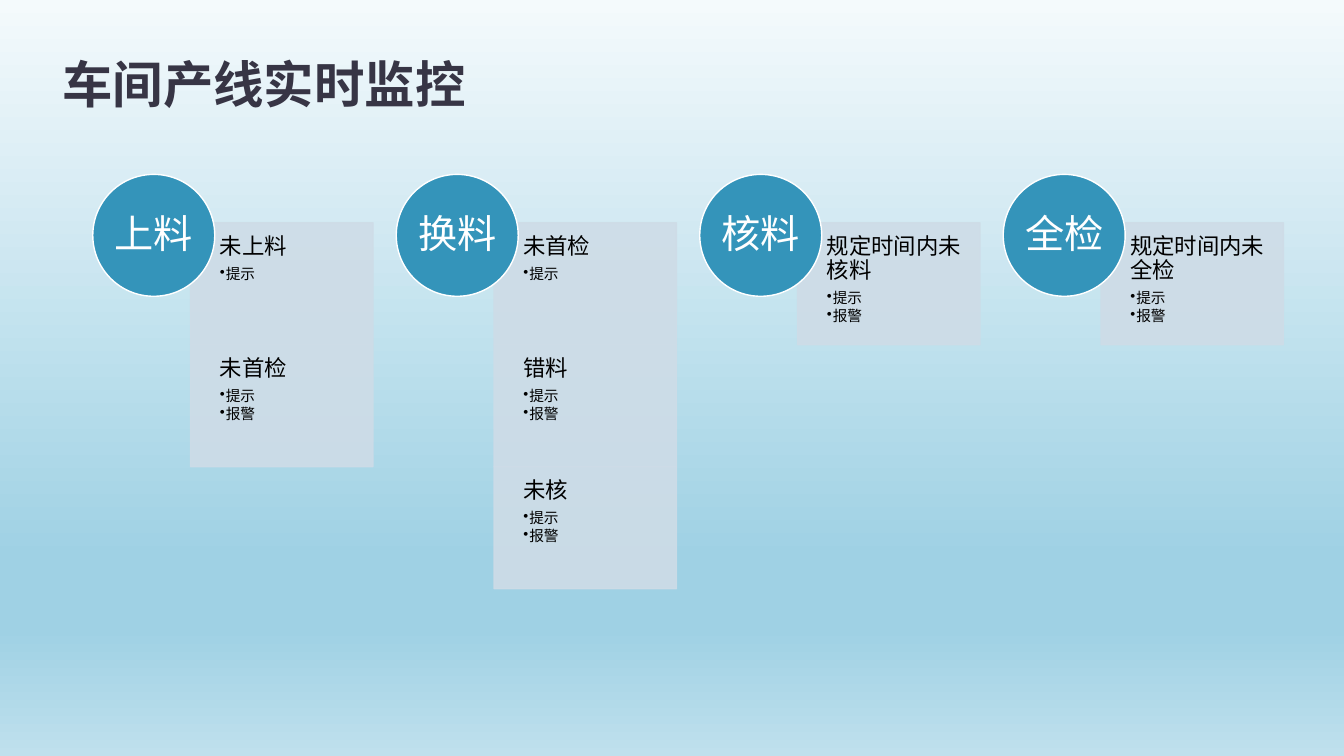
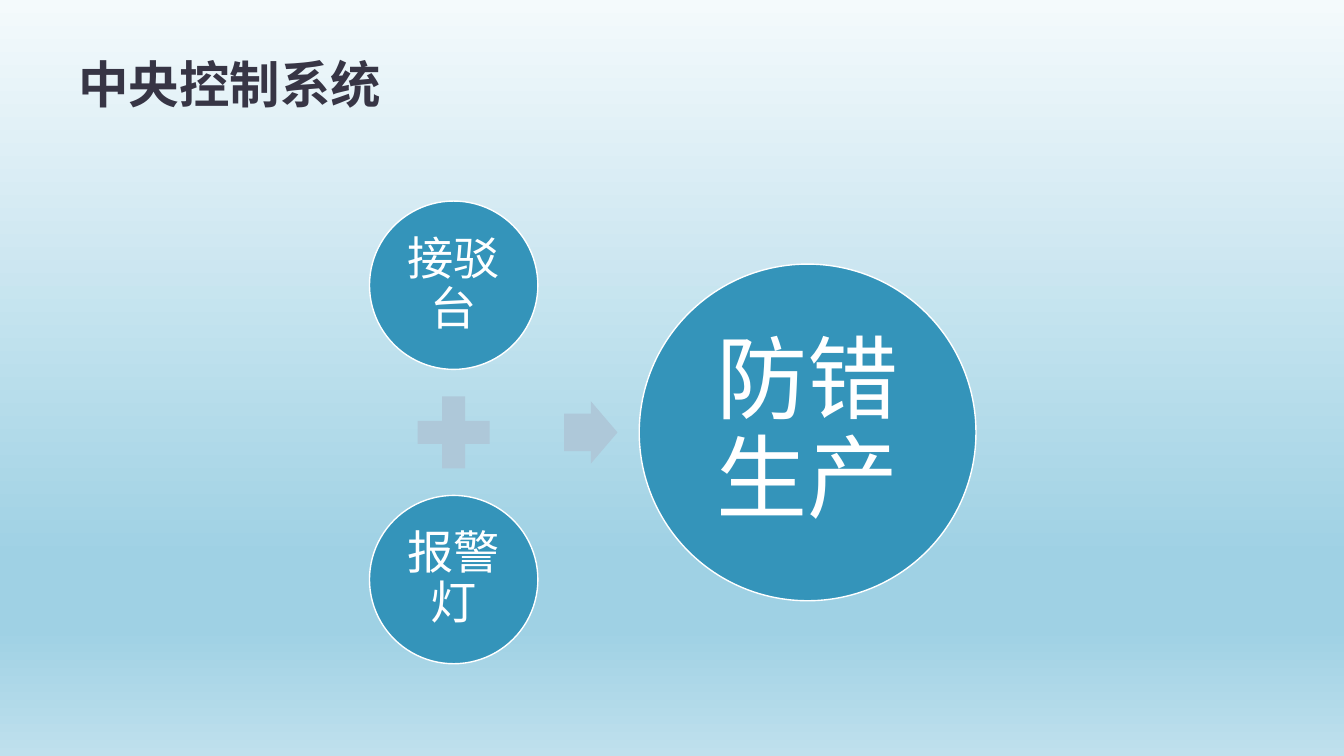
from dataclasses import dataclass
from typing import Any

from lxml import etree
from pptx import Presentation
from pptx.dml.color import RGBColor
from pptx.enum.shapes import MSO_SHAPE
from pptx.enum.text import MSO_ANCHOR, PP_ALIGN
from pptx.oxml.ns import qn
from pptx.util import Inches, Pt

OVAL = MSO_SHAPE.OVAL
RECTANGLE = MSO_SHAPE.RECTANGLE
PLUS = MSO_SHAPE.MATH_PLUS
ARROW = MSO_SHAPE.RIGHT_ARROW
TOP, MIDDLE, BOTTOM = MSO_ANCHOR.TOP, MSO_ANCHOR.MIDDLE, MSO_ANCHOR.BOTTOM
LEFT, CENTER = PP_ALIGN.LEFT, PP_ALIGN.CENTER


@dataclass(frozen=True)
class Theme:
    width: float = 13.33
    height: float = 7.5
    cjk_font: str = "Noto Sans CJK SC"
    latin_font: str = "Calibri"
    title: str = "373545"
    accent: str = "3494BA"
    panel: str = "CEDCE7"
    symbol: str = "AEC8D9"
    white: str = "FFFFFF"
    ink: str = "000000"
    panel_opacity: int = 90
    title_size: float = 36
    stage_size: float = 28
    check_size: float = 16
    action_size: float = 10.5
    input_size: float = 33
    result_size: float = 65
    line_spacing: float = 0.9
    sky: tuple[tuple[int, str], ...] = (
        (0, "F4FAFC"), (74, "9FD1E4"), (83, "9FD1E4"), (100, "BFE0ED"))


@dataclass(frozen=True)
class Box:
    left: float
    top: float
    width: float
    height: float

    def emu(self) -> list[int]:
        return [Inches(v) for v in (self.left, self.top, self.width, self.height)]


def centred(x: float, y: float, width: float, height: float) -> Box:
    return Box(x - width / 2, y - height / 2, width, height)


@dataclass(frozen=True)
class Check:
    heading: str
    actions: tuple[str, ...]


@dataclass(frozen=True)
class Stage:
    name: str
    checks: tuple[Check, ...]


@dataclass(frozen=True)
class Disc:
    label: str
    x: float
    y: float
    diameter: float
    size: float
    inset: float


THEME = Theme()
REMIND = ("提示",)
ALERT = ("提示", "报警")
STAGES = (
    Stage("上料", (Check("未上料", REMIND), Check("未首检", ALERT))),
    Stage("换料", (Check("未首检", REMIND), Check("错料", ALERT), Check("未核", ALERT))),
    Stage("核料", (Check("规定时间内未核料", ALERT),)),
    Stage("全检", (Check("规定时间内未全检", ALERT),)),
)

GRID_LEFT, GRID_TOP = 0.92, 1.73
COLUMN, ROW = 3.01, 1.21
PANEL_SHIFT_X, PANEL_SHIFT_Y, PANEL_WIDTH = 0.97, 0.48, 1.81

AXIS_Y, INPUT_X, INPUT_STEP = 4.29, 4.5, 1.46
DISCS = (
    Disc("接驳台", INPUT_X, AXIS_Y - INPUT_STEP, 1.67, THEME.input_size, 0.05),
    Disc("报警灯", INPUT_X, AXIS_Y + INPUT_STEP, 1.67, THEME.input_size, 0.05),
    Disc("防错生产", 8.01, AXIS_Y, 3.34, THEME.result_size, 0.09),
)


def assign(target: Any, values: dict[str, Any]) -> None:
    for key, value in values.items():
        setattr(target, key, value)


def set_frame(frame: Any, anchor: Any, insets: tuple[float, float, float, float]) -> None:
    sides = ("margin_left", "margin_top", "margin_right", "margin_bottom")
    margins = {side: Inches(value) for side, value in zip(sides, insets)}
    assign(frame, {"word_wrap": True, "vertical_anchor": anchor, **margins})


def write(paragraph: Any, text: str, size: float, color: str, font: str = THEME.cjk_font,
          bold: bool = False, **layout: Any) -> None:
    assign(paragraph, layout)
    run = paragraph.add_run()
    run.text = text
    assign(run.font, {"size": Pt(size), "bold": bold, "name": font})
    run.font.color.rgb = RGBColor.from_string(color)
    etree.SubElement(run.font._element, qn("a:ea"), typeface=THEME.cjk_font)


def add_bullet(paragraph: Any) -> None:
    props = paragraph._p.get_or_add_pPr()
    props.set("marL", str(Inches(0.06)))
    props.set("indent", str(-Inches(0.06)))
    etree.SubElement(props, qn("a:buChar"), char="•")


def add_figure(slide: Any, kind: Any, box: Box, fill: str, line: str | None = None) -> Any:
    figure = slide.shapes.add_shape(kind, *box.emu())
    figure.shadow.inherit = False
    figure.fill.solid()
    figure.fill.fore_color.rgb = RGBColor.from_string(fill)
    if line is None:
        figure.line.fill.background()
    else:
        figure.line.color.rgb = RGBColor.from_string(line)
        figure.line.width = Pt(1)
    return figure


def add_disc(slide: Any, disc: Disc, font: str) -> None:
    box = centred(disc.x, disc.y, disc.diameter, disc.diameter)
    circle = add_figure(slide, OVAL, box, THEME.accent, THEME.white)
    set_frame(circle.text_frame, MIDDLE, (disc.inset,) * 4)
    write(circle.text_frame.paragraphs[0], disc.label, disc.size, THEME.white, font,
          alignment=CENTER, line_spacing=THEME.line_spacing,
          space_after=Pt(disc.size * 0.35))


def add_check(slide: Any, check: Check, box: Box) -> None:
    panel = add_figure(slide, RECTANGLE, box, THEME.panel, THEME.panel)
    for color in panel._element.spPr.iter(qn("a:srgbClr")):
        etree.SubElement(color, qn("a:alpha"), val=str(THEME.panel_opacity * 1000))
    frame = panel.text_frame
    set_frame(frame, TOP, (0.29, 0.12, 0.12, 0.12))
    layout = {"alignment": LEFT, "line_spacing": THEME.line_spacing}
    write(frame.paragraphs[0], check.heading, THEME.check_size, THEME.ink,
          space_after=Pt(THEME.check_size * 0.35), **layout)
    for action in check.actions:
        bullet = frame.add_paragraph()
        write(bullet, action, THEME.action_size, THEME.ink, level=1,
              space_after=Pt(THEME.action_size * 0.15), **layout)
        add_bullet(bullet)


def add_titled_slide(deck: Any, title: str, left: float) -> Any:
    slide = deck.slides.add_slide(deck.slide_layouts[6])
    heading = slide.shapes.add_textbox(*Box(left, 0.01, 12, 1.17).emu())
    set_frame(heading.text_frame, BOTTOM, (0.1, 0.05, 0.1, 0.05))
    write(heading.text_frame.paragraphs[0], title, THEME.title_size, THEME.title, bold=True)
    return slide


def paint_sky(master: Any) -> None:
    fill = master.background.fill
    fill.gradient()
    fill.gradient_angle = 270
    stops = next(master._element.iter(qn("a:gsLst")))
    for stop in list(stops):
        stops.remove(stop)
    for position, color in THEME.sky:
        stop = etree.SubElement(stops, qn("a:gs"), pos=str(position * 1000))
        etree.SubElement(stop, qn("a:srgbClr"), val=color)


def build_monitoring(deck: Any) -> None:
    slide = add_titled_slide(deck, "车间产线实时监控", 0.52)
    for column, stage in enumerate(STAGES):
        left = GRID_LEFT + column * COLUMN
        for row, check in enumerate(stage.checks):
            top = GRID_TOP + PANEL_SHIFT_Y + row * ROW
            add_check(slide, check, Box(left + PANEL_SHIFT_X, top, PANEL_WIDTH, ROW))
        disc = Disc(stage.name, left + ROW / 2, GRID_TOP + ROW / 2, ROW, THEME.stage_size, 0)
        add_disc(slide, disc, THEME.cjk_font)


def build_control_system(deck: Any) -> None:
    slide = add_titled_slide(deck, "中央控制系统", 0.68)
    add_figure(slide, PLUS, centred(INPUT_X, AXIS_Y, 0.97, 0.97), THEME.symbol)
    arrow = add_figure(slide, ARROW, centred(5.86, AXIS_Y, 0.53, 0.62), THEME.symbol)
    arrow.adjustments[0] = 0.6
    arrow.adjustments[1] = 0.5
    for disc in DISCS:
        add_disc(slide, disc, THEME.latin_font)


def main() -> None:
    deck = Presentation()
    assign(deck, {"slide_width": Inches(THEME.width), "slide_height": Inches(THEME.height)})
    paint_sky(deck.slide_master)
    build_monitoring(deck)
    build_control_system(deck)
    deck.save("out.pptx")


if __name__ == "__main__":
    main()
